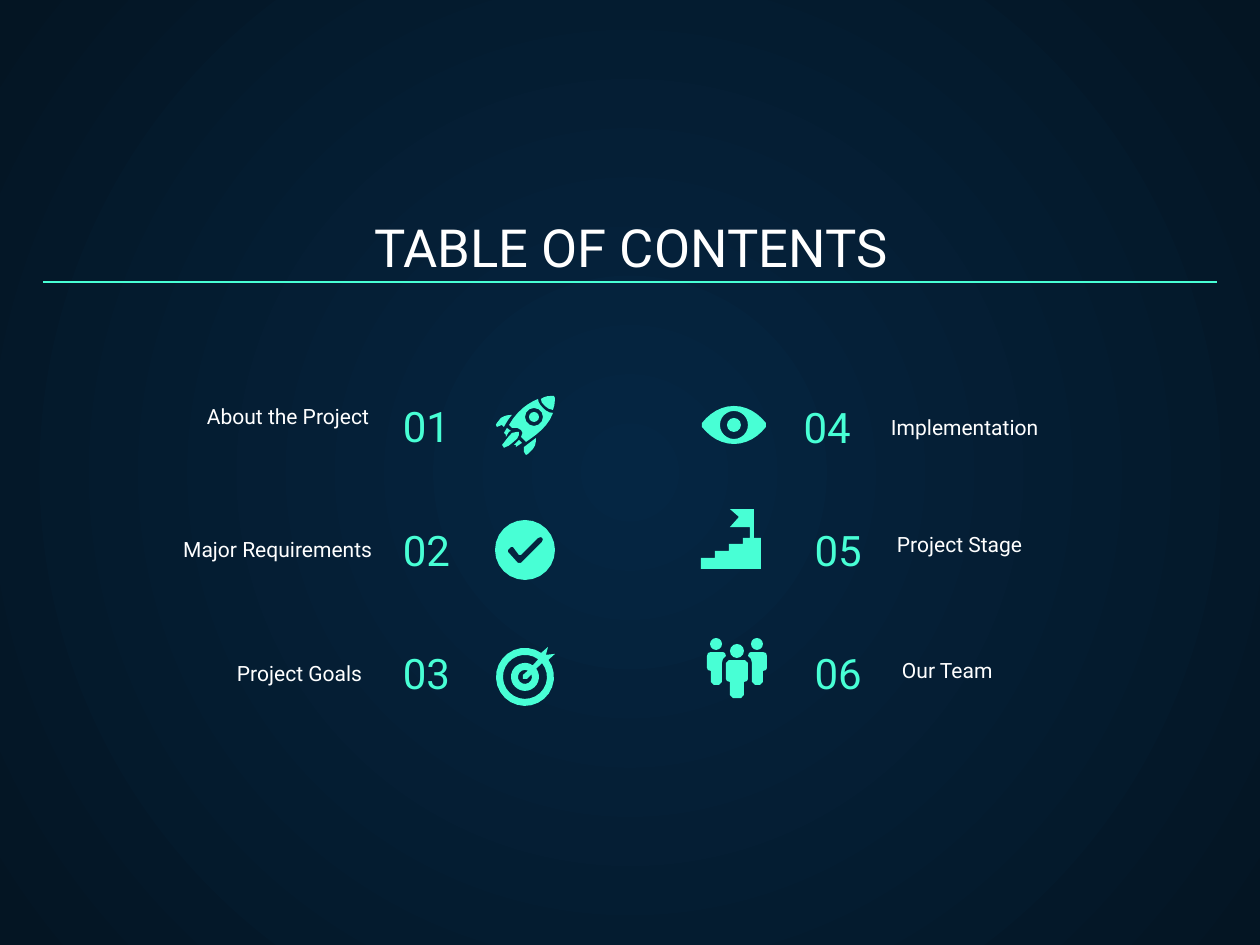
from dataclasses import dataclass
from math import cos, dist, radians, sin

from lxml.etree import SubElement
from pptx import Presentation
from pptx.dml.color import RGBColor
from pptx.enum.shapes import MSO_CONNECTOR as Link, MSO_SHAPE as Kind
from pptx.enum.text import MSO_ANCHOR as Anchor, MSO_AUTO_SIZE as Fit, PP_ALIGN as Align
from pptx.oxml.ns import qn
from pptx.util import Pt

SCALE = 914400 / 168
WHITE = RGBColor(0xFF, 0xFF, 0xFF)
MINT = RGBColor(0x48, 0xFF, 0xD5)
NAVY = RGBColor(0x05, 0x26, 0x43)
NIGHT = RGBColor(0x04, 0x15, 0x23)
FONT = "Roboto"

Path = list[tuple[float, float]]


@dataclass
class Disc:
    x: int
    y: int
    r: int


Part = Disc | list[Path]  # a disc, or an outer outline and its holes


@dataclass
class Entry:
    num: str
    num_at: tuple[int, int]
    label: str
    box: tuple[int, int, int, int]
    left: bool
    icon: list[Part]
    pad: int = 13


def emu(px: float) -> int:
    return round(px * SCALE)


# Outline helpers
def arc(x: int, y: int, r: int, start: int = 0, end: int = 360) -> Path:
    count = 12 if r < 10 else 24
    turns = [radians(start + (end - start) * i / count) for i in range(count + 1)]
    return [(x + r * cos(t), y + r * sin(t)) for t in turns]


def trace(*steps: tuple[int, ...]) -> Path:
    """Join points (x, y) and cubic curves (x1, y1, x2, y2, x, y)."""
    path: Path = []
    for step in steps:
        if len(step) == 2:
            path.append(step)
            continue
        a, b, c, d = path[-1], step[:2], step[2:4], step[4:]
        count = min(6, 1 + int(dist(a, d) / 5))
        for i in range(1, count + 1):
            t = i / count
            u = 1 - t
            path.append(tuple(u**3 * p + 3 * u * u * t * q + 3 * u * t * t * r + t**3 * s
                              for p, q, r, s in zip(a, b, c, d)))
    return path


def flip(path: Path, axis: int) -> Path:
    return [(2 * axis - x, y) for x, y in reversed(path)]


# Icons
ROCKET = [
    [[(507, 428), (504, 433), (506, 435), (506, 437), (509, 432), (511, 431)]],
    [[(519, 440), (514, 445), (516, 445), (516, 447), (522, 443)]],
    [trace((517, 432), (512, 433), (507, 438, 504, 443, 502, 445), (504, 448), (506, 447),
           (508, 447, 511, 444, 517, 439), (519, 437, 519, 434, 519, 432))],
    [trace((511, 415), (507, 415, 504, 416, 501, 418), (497, 423), (496, 425), (497, 427),
           (502, 425), (504, 427), (507, 422, 509, 418, 512, 415))],
    [trace((536, 438), (532, 441, 528, 444, 524, 447), (524, 452), (526, 455), (528, 454),
           (533, 449), (536, 446, 536, 441, 536, 438))],
    [trace((551, 396), (547, 396, 544, 397, 541, 399), (541, 401, 542, 404, 545, 406),
           (547, 408, 550, 410, 553, 410), (555, 406, 555, 400, 555, 398), (554, 396))],
    [trace((538, 399), (528, 403, 517, 411, 509, 425), (512, 428),
           (515, 427, 519, 428, 521, 430), (523, 432, 523, 434, 521, 437), (526, 442),
           (536, 435, 548, 427, 553, 413), (549, 413, 546, 411, 543, 408),
           (540, 405, 538, 402, 538, 399)),
     arc(534, 417, 9)],
    Disc(534, 417, 5),
]
CHECK = [[
    arc(525, 550, 30),
    [(538, 538), (541, 537), (543, 539), (542, 542), (521, 563), (518, 563), (508, 552),
     (508, 550), (511, 547), (513, 547), (519, 555), (521, 555)],
]]
GOAL = [[
    arc(525, 677, 29, -36, 304) + [(548, 647), (546, 655), (555, 654)],
    arc(525, 677, 22, -39, 307) + arc(525, 677, 14, 304, -36),
    arc(525, 677, 7, -20, 295) + [(523, 675), (523, 679), (527, 679)],
]]
lid = trace((702, 423), (710, 413, 721, 406, 734, 406))
lid += flip(lid, 734)
EYE = [[lid + [(x, 850 - y) for x, y in reversed(lid)], arc(734, 425, 14), arc(734, 425, 7)]]
STAIRS = [[[
    (730, 509), (739, 517), (730, 527), (750, 527), (750, 538), (743, 538), (743, 544),
    (729, 544), (729, 551), (715, 551), (715, 558), (701, 558), (701, 569), (761, 569),
    (761, 538), (754, 538), (754, 509),
]]]
side = [(711, 652), (708, 653), (707, 656), (707, 668), (708, 670), (711, 671), (711, 682),
        (714, 685), (719, 685), (722, 682), (722, 663), (723, 659), (726, 656), (725, 653),
        (723, 652)]
half = [(737, 660), (729, 660), (726, 663), (726, 679), (727, 681), (730, 682), (730, 695),
        (733, 698), (737, 698)]
TEAM = [Disc(716, 644, 6), [side], Disc(757, 644, 6), [flip(side, 737)],
        [half + flip(half, 737)], Disc(737, 651, 7)]

ENTRIES = [
    Entry("01", (390, 380), "About the Project", (96, 415, 286, 27), True, ROCKET),
    Entry("02", (390, 504), "Major Requirements", (99, 548, 286, 27), True, CHECK),
    Entry("03", (390, 627), "Project Goals", (89, 672, 286, 27), True, GOAL),
    Entry("04", (701, 381), "Implementation", (874, 422, 286, 35), False, EYE, 17),
    Entry("05", (712, 504), "Project Stage", (884, 521, 286, 49), False, STAIRS),
    Entry("06", (712, 627), "Our Team", (889, 669, 286, 27), False, TEAM),
]

deck = Presentation()
deck.slide_width, deck.slide_height = emu(1260), emu(945)
slide = deck.slides.add_slide(deck.slide_layouts[5])
shapes = slide.shapes


def write(shape, text: str, size: float, color: RGBColor, align: Align, pad: int = 13) -> None:
    frame = shape.text_frame
    frame.text = text
    frame.word_wrap = True
    frame.auto_size = Fit.NONE
    frame.vertical_anchor = Anchor.BOTTOM
    frame.margin_left = frame.margin_right = emu(pad)
    frame.margin_top = frame.margin_bottom = emu(pad)
    line = frame.paragraphs[0]
    line.alignment = align
    font = line.runs[0].font
    font.name, font.size, font.color.rgb = FONT, Pt(size), color


def add_text(box: tuple[int, ...], *style) -> None:
    write(shapes.add_textbox(*map(emu, box)), *style)


def add_part(part: Part):
    if isinstance(part, Disc):
        box = (part.x - part.r, part.y - part.r, 2 * part.r, 2 * part.r)
        return shapes.add_shape(Kind.OVAL, *map(emu, box))
    pen = None
    for path in part:
        first, *rest = [(emu(x), emu(y)) for x, y in path]
        if pen is None:
            pen = shapes.build_freeform(*first)
        else:
            pen.move_to(*first)
        pen.add_line_segments(rest, close=True)
    return pen.convert_to_shape()


def draw(icon: list[Part]) -> None:
    drawn = [add_part(part) for part in icon]
    for shape in drawn:
        shape.shadow.inherit = False
        shape.fill.solid()
        shape.fill.fore_color.rgb = MINT
        shape.line.fill.background()
    if len(drawn) > 1:
        shapes.add_group_shape(drawn)


# Background: round gradient from the centre
fill = slide.background.fill
fill.gradient()
for stop, color in zip(fill.gradient_stops, (NAVY, NIGHT)):
    stop.color.rgb = color
grad = slide.element.find(".//" + qn("a:gradFill"))
grad.remove(grad.find(qn("a:lin")))
glow = SubElement(grad, qn("a:path"), {"path": "circle"})
SubElement(glow, qn("a:fillToRect"), dict.fromkeys("ltrb", "50000"))

# Title and rule
title = shapes.title
title.left, title.top, title.width, title.height = map(emu, (44, 207, 1174, 84))
write(title, "TABLE OF CONTENTS", 22.5, WHITE, Align.CENTER)
rule = shapes.add_connector(Link.STRAIGHT, *map(emu, (43, 282, 1217, 282)))
rule.line.color.rgb, rule.line.width = MINT, Pt(0.75)
SubElement(rule.element.spPr, qn("a:effectLst"))

# Contents
for item in ENTRIES:
    inner, outer = (Align.LEFT, Align.RIGHT) if item.left else (Align.RIGHT, Align.LEFT)
    add_text((*item.num_at, 163, 84), item.num, 18, MINT, inner)
    add_text(item.box, item.label, 9, WHITE, outer, item.pad)
    draw(item.icon)

deck.save("out.pptx")
